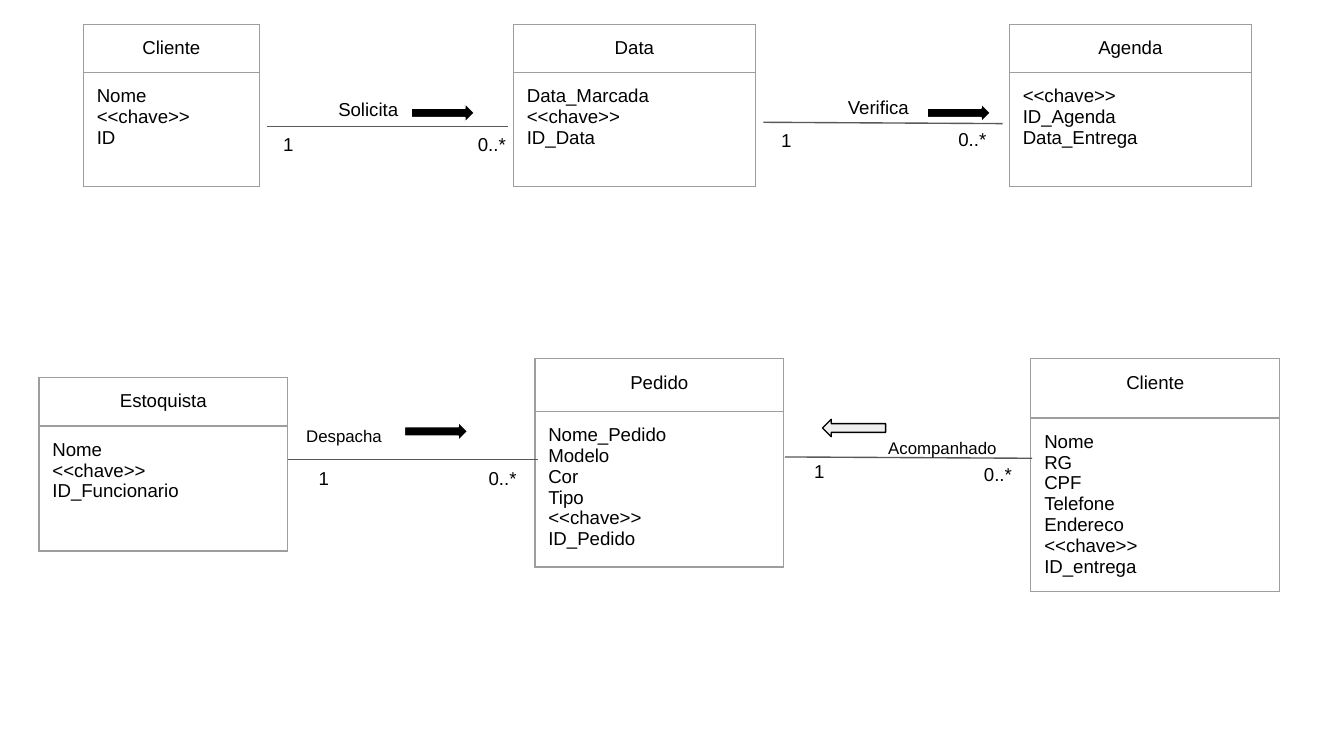
from lxml import etree
from pptx import Presentation
from pptx.dml.color import RGBColor
from pptx.enum.shapes import MSO_CONNECTOR, MSO_SHAPE
from pptx.enum.text import MSO_ANCHOR, PP_ALIGN
from pptx.oxml.ns import qn
from pptx.util import Inches, Pt

LEFT, CENTER = PP_ALIGN.LEFT, PP_ALIGN.CENTER
TOP, MIDDLE = MSO_ANCHOR.TOP, MSO_ANCHOR.MIDDLE
RIGHT_ARROW, LEFT_ARROW = MSO_SHAPE.RIGHT_ARROW, MSO_SHAPE.LEFT_ARROW
STRAIGHT = MSO_CONNECTOR.STRAIGHT
SLIDE_WIDTH = 10
BLACK, WHITE, PALE = "000000", "FFFFFF", "EEEEEE"
BORDER, LINE = "9E9E9E", "595959"
KEY = "<<chave>>"

CLASSES = [
    ("Cliente", ["Nome", KEY, "ID"], (0.62, 0.18, 1.31), (0.36, 0.85)),
    ("Data", ["Data_Marcada", KEY, "ID_Data "], (3.82, 0.18, 1.8), (0.36, 0.85)),
    ("Agenda", [KEY, "ID_Agenda", "Data_Entrega"], (7.51, 0.18, 1.8), (0.36, 0.85)),
    ("Estoquista", ["Nome", KEY, "ID_Funcionario"], (0.29, 2.81, 1.85), (0.36, 0.93)),
    ("Pedido", ["Nome_Pedido ", "Modelo ", "Cor", "Tipo", KEY, "ID_Pedido "],
     (3.98, 2.67, 1.85), (0.39, 1.16)),
    ("Cliente", ["Nome", "RG", "CPF", "Telefone", "Endereco", KEY, "ID_entrega"],
     (7.67, 2.67, 1.85), (0.44, 1.29)),
]

CENTERED = {"size": 10, "align": CENTER, "anchor": MIDDLE}
SMALL = {"size": 9}
BLACK_ARROW = (RIGHT_ARROW, BLACK, WHITE)
PALE_ARROW = (LEFT_ARROW, PALE, BLACK)

ASSOCIATIONS = [
    {"name": "Solicita", "line": (1.99, 0.94, 1.79, 0), "label": (0.4, -0.21, 0.7, 0.17),
     "arrow": (1.07, -0.17, 0.47, 0.14), "one": (-0.09, 0.02, 0.49, 0.22),
     "many": (1.44, 0.02, 0.46, 0.22), "style": BLACK_ARROW, "text": CENTERED},
    {"name": "Verifica", "line": (5.68, 0.91, 1.78, 0.01), "label": (0.49, -0.18, 0.73, 0.14),
     "arrow": (1.22, -0.14, 0.47, 0.14), "one": (-0.09, 0.02, 0.52, 0.22),
     "many": (1.3, 0.02, 0.51, 0.21), "style": BLACK_ARROW, "text": CENTERED},
    {"name": "Despacha", "line": (2.14, 3.42, 1.86, 0), "label": (0.04, -0.33, 1.76, 0.24),
     "arrow": (0.87, -0.28, 0.47, 0.14), "one": (0.04, 0.03, 0.46, 0.22),
     "many": (1.37, 0.03, 0.46, 0.22), "style": BLACK_ARROW, "text": SMALL},
    {"name": "Acompanhado", "line": (5.84, 3.4, 1.84, 0.01), "label": (0.67, -0.22, 1.11, 0.24),
     "arrow": (0.28, -0.28, 0.47, 0.13), "one": (0, 0, 0.51, 0.21),
     "many": (1.33, 0.02, 0.51, 0.21), "style": PALE_ARROW, "text": SMALL},
]


def color(hex_value):
    """Turn a hex string into a colour."""
    return RGBColor.from_string(hex_value)


def write(frame, text, size=10, align=LEFT, anchor=TOP):
    """Write one paragraph per line of text into a frame."""
    frame.word_wrap = True
    frame.vertical_anchor = anchor
    for index, line in enumerate(text.split("\n")):
        paragraph = frame.add_paragraph() if index else frame.paragraphs[0]
        paragraph.alignment = align
        run = paragraph.add_run()
        run.text = line
        run.font.name = "Arial"
        run.font.size = Pt(size)
        run.font.bold = False
        run.font.color.rgb = color(BLACK)


def add_text(slide, text, box, **style):
    """Add a text box with even margins."""
    frame = slide.shapes.add_textbox(*map(Inches, box)).text_frame
    frame.margin_left = frame.margin_right = Inches(0.1)
    frame.margin_top = frame.margin_bottom = Inches(0.1)
    write(frame, text, **style)


def set_borders(cell):
    """Draw a thin grey line on each side of a cell."""
    properties = cell._tc.get_or_add_tcPr()
    for index, side in enumerate(("a:lnL", "a:lnR", "a:lnT", "a:lnB")):
        line = etree.Element(qn(side), w=str(Pt(0.75)))
        fill = etree.SubElement(line, qn("a:solidFill"))
        etree.SubElement(fill, qn("a:srgbClr"), val=BORDER)
        properties.insert(index, line)


def add_class(slide, name, attributes, place, heights):
    """Add a class as a table with a title row and an attribute row."""
    left, top, width = place
    table = slide.shapes.add_table(
        2, 1, *map(Inches, (left, top, width, sum(heights)))).table
    table.first_row = table.horz_banding = False
    contents = [(name, CENTER), ("\n".join(attributes), LEFT)]
    for row, height, (text, align) in zip(table.rows, heights, contents):
        row.height = Inches(height)
        cell = row.cells[0]
        cell.margin_left = cell.margin_right = Inches(0.1)
        cell.margin_top = cell.margin_bottom = Inches(0.1)
        cell.fill.background()
        set_borders(cell)
        write(cell.text_frame, text, align=align)


def add_arrow(slide, box, preset, fill, outline):
    """Add a block arrow that shows the reading direction."""
    shape = slide.shapes.add_shape(preset, *map(Inches, box))
    shape.shadow.inherit = False
    shape.fill.solid()
    shape.fill.fore_color.rgb = color(fill)
    shape.line.color.rgb = color(outline)
    shape.line.width = Pt(0.75)


def add_association(slide, association):
    """Add a line with its name, direction and multiplicities."""
    left, top, width, drop = association["line"]

    def place(part):
        """Move the box of a part from the line start to the slide."""
        x, y, part_width, part_height = association[part]
        return left + x, top + y, part_width, part_height

    connector = slide.shapes.add_connector(
        STRAIGHT, *map(Inches, (left, top, left + width, top + drop)))
    connector.line.color.rgb = color(LINE)
    connector.line.width = Pt(0.75)
    etree.SubElement(connector._element.spPr, qn("a:effectLst"))
    add_text(slide, association["name"], place("label"), **association["text"])
    add_arrow(slide, place("arrow"), *association["style"])
    add_text(slide, "1", place("one"), **CENTERED)
    add_text(slide, "0..*", place("many"), **CENTERED)


def build():
    """Build the class diagram and save it."""
    presentation = Presentation()
    presentation.slide_width = Inches(SLIDE_WIDTH)
    presentation.slide_height = Inches(SLIDE_WIDTH * 9 / 16)
    slide = presentation.slides.add_slide(presentation.slide_layouts[6])
    for entry in CLASSES:
        add_class(slide, *entry)
    for association in ASSOCIATIONS:
        add_association(slide, association)
    presentation.save("out.pptx")


build()
